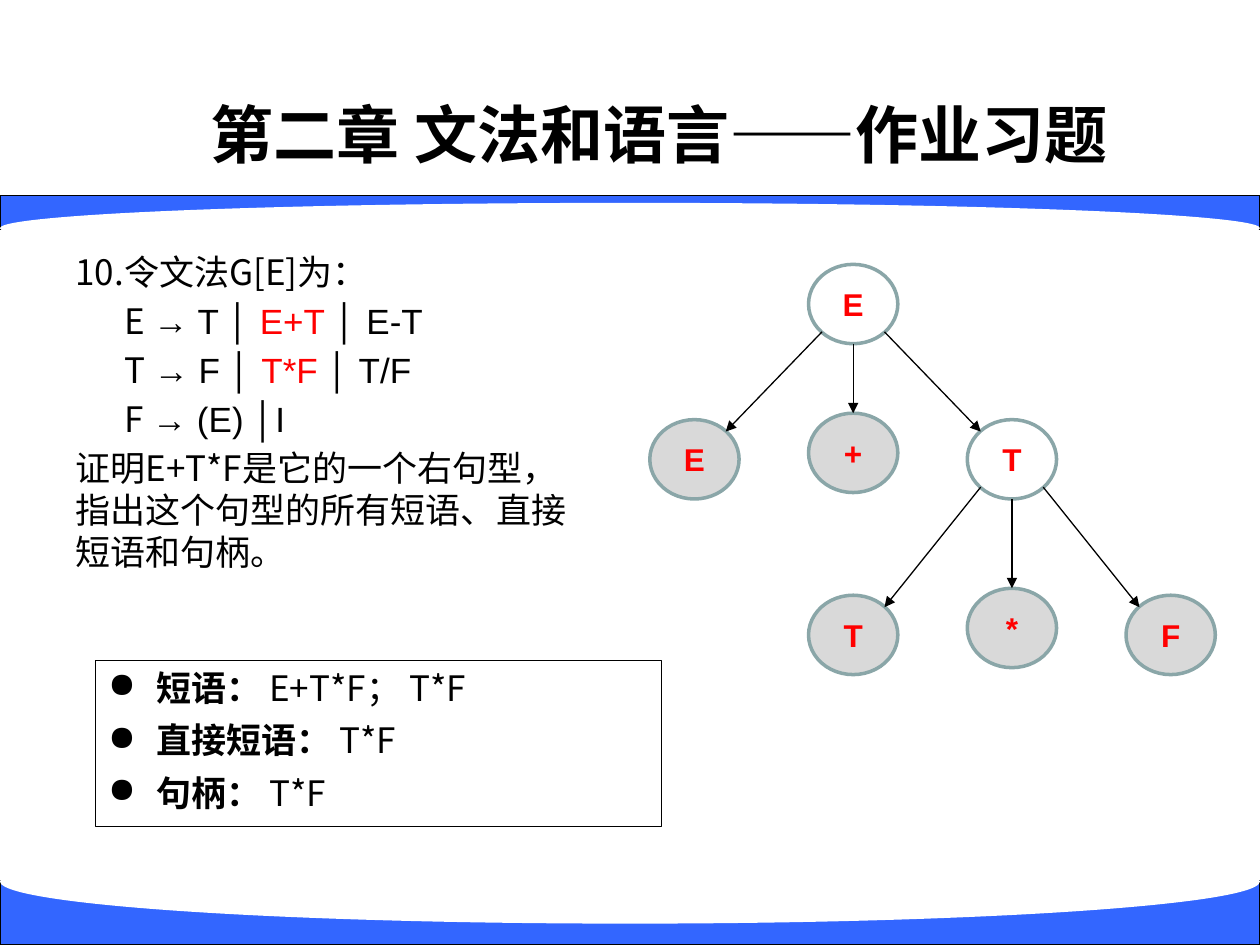
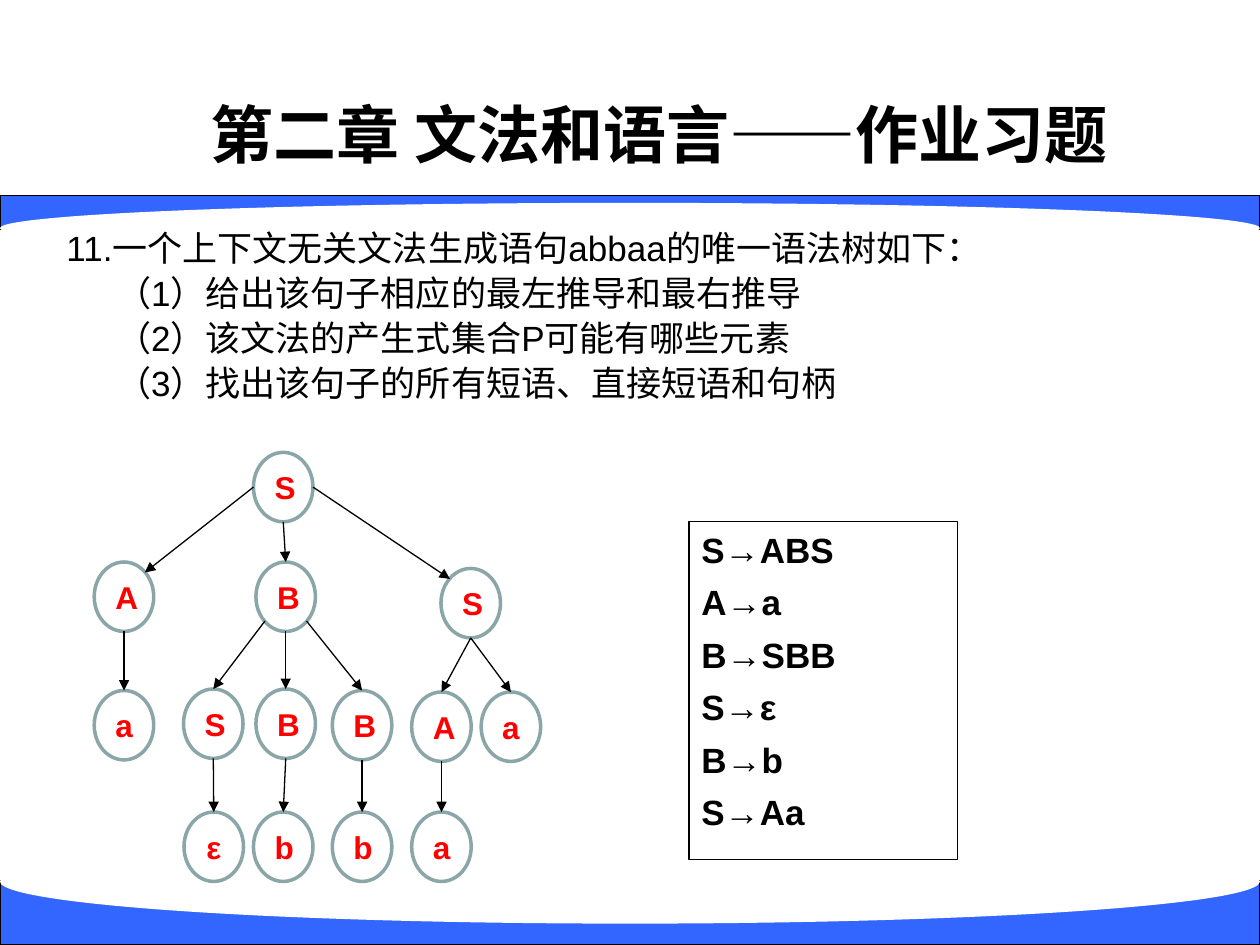
"""Build two homework slides on grammars, syntax trees and phrases."""
from dataclasses import dataclass
from typing import NamedTuple

import pptx
import pptx.dml.color
import pptx.enum.shapes
import pptx.enum.text
import pptx.oxml.ns
import pptx.oxml.xmlchemy
import pptx.util
from lxml import etree

Cm = pptx.util.Cm
Pt = pptx.util.Pt
Shapes = pptx.enum.shapes.MSO_SHAPE
Align = pptx.enum.text.PP_ALIGN
Anchor = pptx.enum.text.MSO_ANCHOR
qn = pptx.oxml.ns.qn

COLORS = {"band": "3366FF", "paper": "FFFFFF", "ink": "000000",
          "accent": "FF0000", "ring": "8AA6A8", "leaf": "D9D9D9"}
LATIN, CJK = "Arial", "Noto Sans CJK SC"
CHAPTER = "第二章 文法和语言——作业习题"
SITES = {"n": (0.5, 0), "nw": (0.15, 0.15), "w": (0, 0.5), "sw": (0.15, 0.85),
         "s": (0.5, 1), "se": (0.85, 0.85), "e": (1, 0.5), "ne": (0.85, 0.15)}


class Box(NamedTuple):
    left: float
    top: float
    width: float
    height: float

    def lengths(self) -> list:
        return [Cm(value) for value in self]


class Run(NamedTuple):
    text: str
    font: str = LATIN
    color: str = "ink"
    bold: bool = False


class Line(NamedTuple):
    runs: list
    margin: float = 0
    hanging: float = 0
    bullet: str = ""


class Node(NamedTuple):
    label: str
    left: float
    top: float
    leaf: bool = False


class Edge(NamedTuple):
    parent: str
    child: str
    leaving: str = "s"
    arriving: str = "n"


@dataclass
class Tree:
    width: float
    height: float
    nodes: dict
    edges: list

    def site(self, key: str, side: str) -> tuple:
        node, (across, down) = self.nodes[key], SITES[side]
        return Cm(node.left + across * self.width), Cm(node.top + down * self.height)


BANDS = [
    (Shapes.RECTANGLE, Box(0, 3.94, 25.4, 0.69), "band", "ink"),
    (Shapes.OVAL, Box(0, 4.09, 25.4, 1.02), "paper", None),
    (Shapes.RECTANGLE, Box(0, 17.75, 25.4, 1.3), "band", "ink"),
    (Shapes.OVAL, Box(0, 16.92, 25.4, 1.7), "paper", None),
]


def rgb(name: str):
    return pptx.dml.color.RGBColor.from_string(COLORS[name])


def add_text(paragraph, text: str, *, font: str = LATIN, size: float = 20,
             color: str = "ink", bold: bool = False) -> None:
    run = paragraph.add_run()
    run.text = text
    run.font.name = font
    run.font.size = Pt(size)
    run.font.bold = bold
    run.font.color.rgb = rgb(color)
    latin = run.font._element.find(qn("a:latin"))
    east_asian = etree.Element(qn("a:ea"), typeface=CJK)
    latin.addnext(east_asian)


def write_lines(shape, lines: list, *, pitch: float, before: float) -> None:
    frame = shape.text_frame
    frame.word_wrap = True
    frame.vertical_anchor = Anchor.TOP
    for index, line in enumerate(lines):
        paragraph = frame.add_paragraph() if index else frame.paragraphs[0]
        properties = paragraph._p.get_or_add_pPr()
        properties.set("marL", str(Cm(line.margin)))
        properties.set("indent", str(Cm(-line.hanging)))
        if line.bullet:
            etree.SubElement(properties, qn("a:buChar"), char=line.bullet)
        paragraph.alignment = Align.LEFT
        paragraph.line_spacing = Pt(pitch)
        paragraph.space_before = Pt(before if index else 0)
        for run in line.runs:
            add_text(paragraph, run.text, font=run.font, color=run.color, bold=run.bold)


def add_figure(slide, kind, box: Box, fill: str | None, outline: str | None,
               weight: float = 0.75):
    shape = slide.shapes.add_shape(kind, *box.lengths())
    shape.shadow.inherit = False
    if fill:
        shape.fill.solid()
        shape.fill.fore_color.rgb = rgb(fill)
    else:
        shape.fill.background()
    if outline:
        shape.line.color.rgb = rgb(outline)
        shape.line.width = Pt(weight)
    else:
        shape.line.fill.background()
    return shape


def add_arrow(slide, start: tuple, end: tuple) -> None:
    arrow = slide.shapes.add_connector(
        pptx.enum.shapes.MSO_CONNECTOR.STRAIGHT, *start, *end)
    arrow.line.color.rgb = rgb("ink")
    arrow.line.width = Pt(0.75)
    etree.SubElement(arrow.line._get_or_add_ln(), qn("a:tailEnd"), type="triangle")
    etree.SubElement(arrow._element.spPr, qn("a:effectLst"))


def add_tree(slide, tree: Tree) -> None:
    for node in tree.nodes.values():
        box = Box(node.left, node.top, tree.width, tree.height)
        symbol = add_figure(slide, Shapes.OVAL, box, "leaf" if node.leaf else None,
                            "ring", 2)
        symbol.text_frame.word_wrap = True
        symbol.text_frame.vertical_anchor = Anchor.MIDDLE
        paragraph = symbol.text_frame.paragraphs[0]
        paragraph.alignment = Align.CENTER
        add_text(paragraph, node.label, size=18, color="accent", bold=True)
    for edge in tree.edges:
        add_arrow(slide, tree.site(edge.parent, edge.leaving),
                  tree.site(edge.child, edge.arriving))


def add_exercise(deck, question: Box, lines: list, pitch: float, tree: Tree,
                 answer: Box, answer_lines: list) -> None:
    slide = deck.slides.add_slide(deck.slide_layouts[5])
    for band in BANDS:
        add_figure(slide, *band)
    title = slide.shapes.title
    title.left, title.top, title.width, title.height = Box(2.49, 1.83, 21.59, 1.7).lengths()
    title.text_frame.auto_size = pptx.enum.text.MSO_AUTO_SIZE.NONE
    title.text_frame.vertical_anchor = Anchor.MIDDLE
    heading = title.text_frame.paragraphs[0]
    heading.alignment = Align.CENTER
    add_text(heading, CHAPTER, size=36, bold=True)
    write_lines(slide.shapes.add_textbox(*question.lengths()), lines,
                pitch=pitch, before=4)
    add_tree(slide, tree)
    frame = add_figure(slide, Shapes.RECTANGLE, answer, None, "ink")
    write_lines(frame, answer_lines, pitch=24, before=6)


def production(symbol: str, first: str, recursive: str = "", last: str = "") -> Line:
    runs = [Run(symbol + " ", CJK), Run(first)]
    if recursive:
        runs += [Run(recursive, color="accent"), Run(last)]
    return Line(runs, margin=1)


def answer_line(term: str, phrases: str) -> Line:
    return Line([Run(term + "： ", bold=True), Run(phrases, CJK)], 0.97, 0.97, "●")


def expression_tree() -> Tree:
    columns = [13.1 + 3.2 * index for index in range(4)]
    nodes = {
        "root": Node("E", columns[1], 5.33),
        "plus": Node("+", columns[1], 8.33, True),
        "left": Node("E", columns[0], 8.46, True),
        "right": Node("T", columns[2], 8.46),
        "times": Node("*", columns[2], 11.86, True),
        "term": Node("T", columns[1], 12, True),
        "factor": Node("F", columns[3], 12, True),
    }
    families = [("root", "left", "plus", "right"), ("right", "term", "times", "factor")]
    edges = []
    for parent, first, operator, last in families:
        edges += [Edge(parent, first, "sw", "ne"), Edge(parent, operator),
                  Edge(parent, last, "se", "nw")]
    return Tree(1.8, 1.6, nodes, edges)


def sentence_tree() -> Tree:
    nodes = {
        "S": Node("S", 5.11, 9.12),
        "A1": Node("A", 1.9, 11.33),
        "B1": Node("B", 5.16, 11.33),
        "S1": Node("S", 8.89, 11.46),
        "a1": Node("a", 1.9, 13.92),
        "S2": Node("S", 3.7, 13.89),
        "B2": Node("B", 5.16, 13.89),
        "B3": Node("B", 6.7, 13.92),
        "A2": Node("A", 8.3, 13.95),
        "a2": Node("a", 9.7, 13.95),
        "ε": Node("ε", 3.71, 16.37),
        "b1": Node("b", 5.11, 16.37),
        "b2": Node("b", 6.7, 16.37),
        "a3": Node("a", 8.3, 16.37),
    }
    edges = [Edge("S", "A1", "w", "ne"), Edge("S", "B1"), Edge("S", "S1", "e", "nw"),
             Edge("B1", "S2", "sw"), Edge("B1", "B3", "se")]
    straight = [("A1", "a1"), ("B1", "B2"), ("S1", "A2"), ("S1", "a2"), ("S2", "ε"),
                ("B2", "b1"), ("B3", "b2"), ("A2", "a3")]
    edges += [Edge(*pair) for pair in straight]
    return Tree(1.2, 1.4, nodes, edges)


def main() -> None:
    deck = pptx.Presentation()
    deck.slide_width, deck.slide_height = Cm(25.4), Cm(19.05)

    grammar = [
        Line([Run("10.令文法G[E]为：", CJK)], 1, 1),
        production("E", "→ T │ ", "E+T", " │ E-T"),
        production("T", "→ F │ ", "T*F", " │ T/F"),
        production("F", "→ (E) │I"),
        Line([Run("证明E+T*F是它的一个右句型，指出这个句型的所有短语、直接短语和句柄。", CJK)]),
    ]
    phrases = [answer_line("短语", "E+T*F； T*F"), answer_line("直接短语", "T*F"),
               answer_line("句柄", "T*F")]
    add_exercise(deck, Box(1.27, 4.93, 10.44, 7.39), grammar, 24, expression_tree(),
                 Box(1.93, 13.31, 11.4, 3.36), phrases)

    tasks = ["（1）给出该句子相应的最左推导和最右推导",
             "（2）该文法的产生式集合P可能有哪些元素",
             "（3）找出该句子的所有短语、直接短语和句柄"]
    questions = [Line([Run("11.一个上下文无关文法生成语句abbaa的唯一语法树如下：")], 1, 1)]
    questions += [Line([Run(task)], margin=1) for task in tasks]
    rules = ["S→ABS", "A→a", "B→SBB", "S→ε", "B→b", "S→Aa"]
    add_exercise(deck, Box(1.09, 4.52, 23.01, 4.11), questions, 21.7, sentence_tree(),
                 Box(13.89, 10.52, 5.41, 6.81),
                 [Line([Run(rule, bold=True)]) for rule in rules])

    deck.save("out.pptx")


if __name__ == "__main__":
    main()
